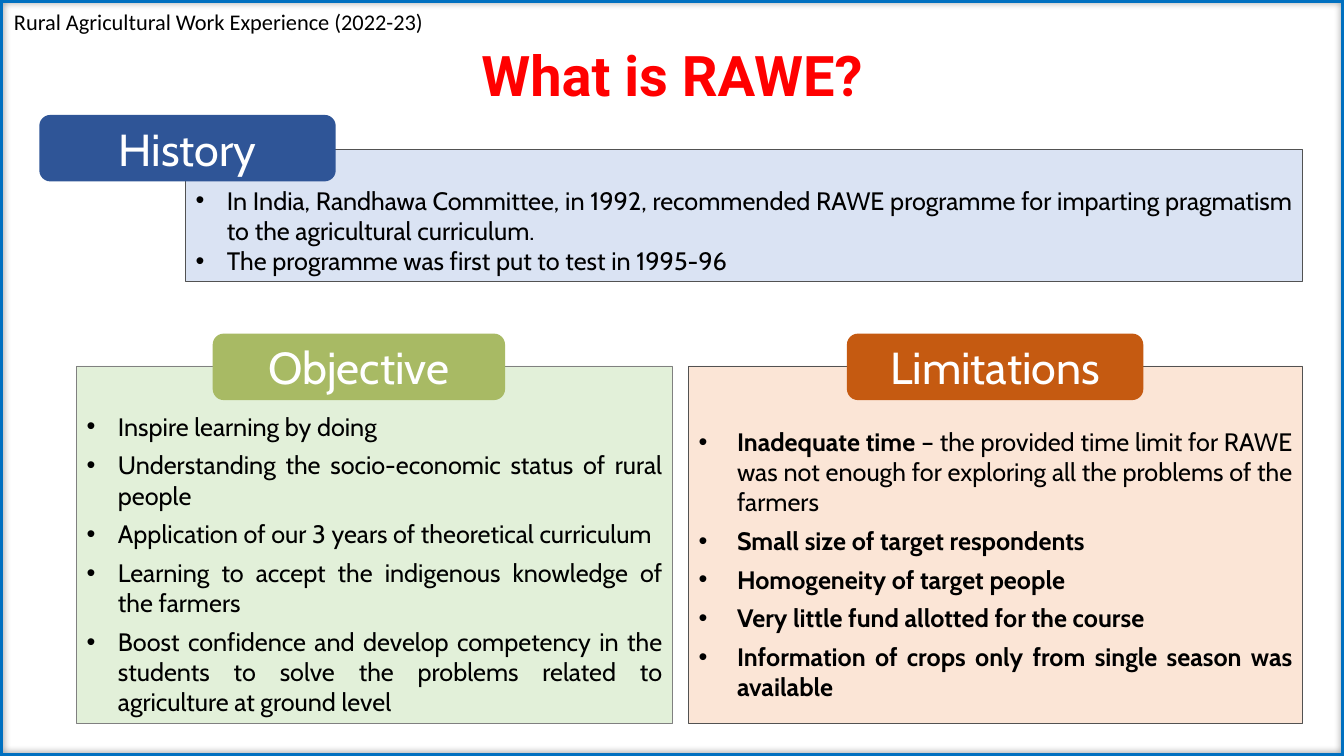
from lxml import etree
from pptx import Presentation
from pptx.dml.color import RGBColor
from pptx.enum.shapes import MSO_SHAPE as SHAPE
from pptx.enum.text import MSO_ANCHOR as ANCHOR, MSO_AUTO_SIZE as AUTO, PP_ALIGN as ALIGN
from pptx.oxml import parse_xml
from pptx.oxml.ns import nsdecls, qn
from pptx.util import Inches, Pt

COLORS = {
    "red": "FF0000", "black": "000000", "white": "FFFFFF", "frame": "0070C0",
    "history": "2F5597", "history_bg": "DAE3F3",
    "objective": "A8BA64", "objective_bg": "E2F0D9",
    "limits": "C55A11", "limits_bg": "FBE5D6",
    "dark": "525252", "gray": "808080",
}
HISTORY = [
    [("In India, Randhawa Committee, in 1992, recommended RAWE programme for "
      "imparting pragmatism to the agricultural curriculum.", False)],
    [("The programme was first put to test in 1995-96", False)],
]
OBJECTIVES = [[(text, False)] for text in (
    "Inspire learning by doing",
    "Understanding the socio-economic status of rural people",
    "Application of our 3 years of theoretical curriculum",
    "Learning to accept the indigenous knowledge of the farmers",
    "Boost confidence and develop competency in the students to solve the "
    "problems related to agriculture at ground level",
)]
LIMITATIONS = [
    [("Inadequate time", True),
     (" – the provided time limit for RAWE was not enough for exploring all "
      "the problems of the farmers", False)],
    [("Small size of target respondents", True)],
    [("Homogeneity of target people", True)],
    [("Very little fund allotted for the course", True)],
    [("Information of crops only from single season was available", True)],
]


def rgb(name):
    return RGBColor.from_string(COLORS[name])


def set_attrs(obj, values):
    for name, value in values.items():
        setattr(obj, name, value)


def place(sp, box):
    set_attrs(sp, dict(zip(("left", "top", "width", "height"), map(Inches, box))))


def add_run(p, text, size, font, color, bold=False):
    r = p.add_run()
    r.text = text
    set_attrs(r.font, {"size": Pt(size), "name": font, "bold": bold})
    r.font.color.rgb = rgb(color)


def add_frame(s, box):
    sp = s.shapes.add_shape(SHAPE.RECTANGLE, *map(Inches, box))
    sp.fill.background()
    sp.line.color.rgb = rgb("frame")
    sp.line.width = Pt(4.5)
    sp._element.spPr.append(parse_xml(
        f'<a:effectLst {nsdecls("a")}><a:outerShdw blurRad="{Pt(5)}" dist="0" dir="0">'
        '<a:srgbClr val="000000"><a:alpha val="40000"/></a:srgbClr>'
        '</a:outerShdw></a:effectLst>'))


def add_title(s, box):
    sp = s.shapes.title
    place(sp, box)
    set_attrs(sp.text_frame, {"vertical_anchor": ANCHOR.TOP, "auto_size": AUTO.NONE})
    p = sp.text_frame.paragraphs[0]
    set_attrs(p, {"alignment": ALIGN.CENTER, "space_before": Pt(0)})
    add_run(p, "What is RAWE?", 40, "Roboto", "red", True)


def add_header(s, box):
    tf = s.shapes.add_textbox(*map(Inches, box)).text_frame
    tf.word_wrap = True
    add_run(tf.paragraphs[0], "Rural Agricultural Work Experience (2022-23)",
            16, "Calibri", "black")


def add_bullet(p, indent):
    pPr = p._p.get_or_add_pPr()
    pPr.set("marL", str(Inches(indent)))
    pPr.set("indent", str(-Inches(indent)))
    etree.SubElement(pPr, qn("a:buFont")).set("typeface", "Arial")
    etree.SubElement(pPr, qn("a:buChar")).set("char", "•")


def add_tab(s, box, text, fill):
    sp = s.shapes.add_shape(SHAPE.ROUNDED_RECTANGLE, *map(Inches, box))
    sp.shadow.inherit = False
    sp.fill.solid()
    sp.fill.fore_color.rgb = rgb(fill)
    sp.line.fill.background()
    sp.text_frame.vertical_anchor = ANCHOR.MIDDLE
    p = sp.text_frame.paragraphs[0]
    p.alignment = ALIGN.CENTER
    add_run(p, text, 32, "Cabin", "white")


def add_panel(s, idx, box, tab, heading, color, line, items, inset, indent, after):
    sp = s.placeholders[idx]
    place(sp, box)
    sp.fill.solid()
    sp.fill.fore_color.rgb = rgb(color + "_bg")
    sp.line.color.rgb = rgb(line)
    sp.line.width = Pt(0.5)
    tf = sp.text_frame
    set_attrs(tf, {"vertical_anchor": ANCHOR.MIDDLE, "auto_size": AUTO.NONE,
                   "word_wrap": True, "margin_top": Inches(inset)})
    for i, runs in enumerate(items):
        p = tf.add_paragraph() if i else tf.paragraphs[0]
        add_bullet(p, indent)
        set_attrs(p, {"alignment": ALIGN.JUSTIFY, "space_before": Pt(0),
                      "space_after": Pt(after)})
        for text, bold in runs:
            add_run(p, text, 18, "Cabin", "black", bold)
    dx, dy, width = tab
    add_tab(s, (box[0] + dx, box[1] + dy, width, 0.66), heading, color)


def main():
    prs = Presentation()
    prs.slide_width, prs.slide_height = Inches(13.33), Inches(7.5)
    s = prs.slides.add_slide(prs.slide_layouts[4])
    add_title(s, (2.46, 0.35, 8.41, 0.77))
    add_frame(s, (0, 0, 13.33, 7.5))
    add_header(s, (0.04, 0.03, 4.27, 0.37))
    add_panel(s, 1, (1.84, 1.48, 11.08, 1.31), (-1.45, -0.34, 2.94), "History",
              "history", "dark", HISTORY, 0.35, 0.31, 0)
    add_panel(s, 2, (0.76, 3.63, 5.91, 3.55), (1.35, -0.32, 2.9), "Objective",
              "objective", "gray", OBJECTIVES, 0.43, 0.31, 6)
    add_panel(s, 3, (6.83, 3.63, 6.09, 3.55), (1.57, -0.32, 2.94), "Limitations",
              "limits", "dark", LIMITATIONS, 0.43, 0.38, 6)
    spare = s.placeholders[4]._element
    spare.getparent().remove(spare)
    prs.save("out.pptx")


if __name__ == "__main__":
    main()
